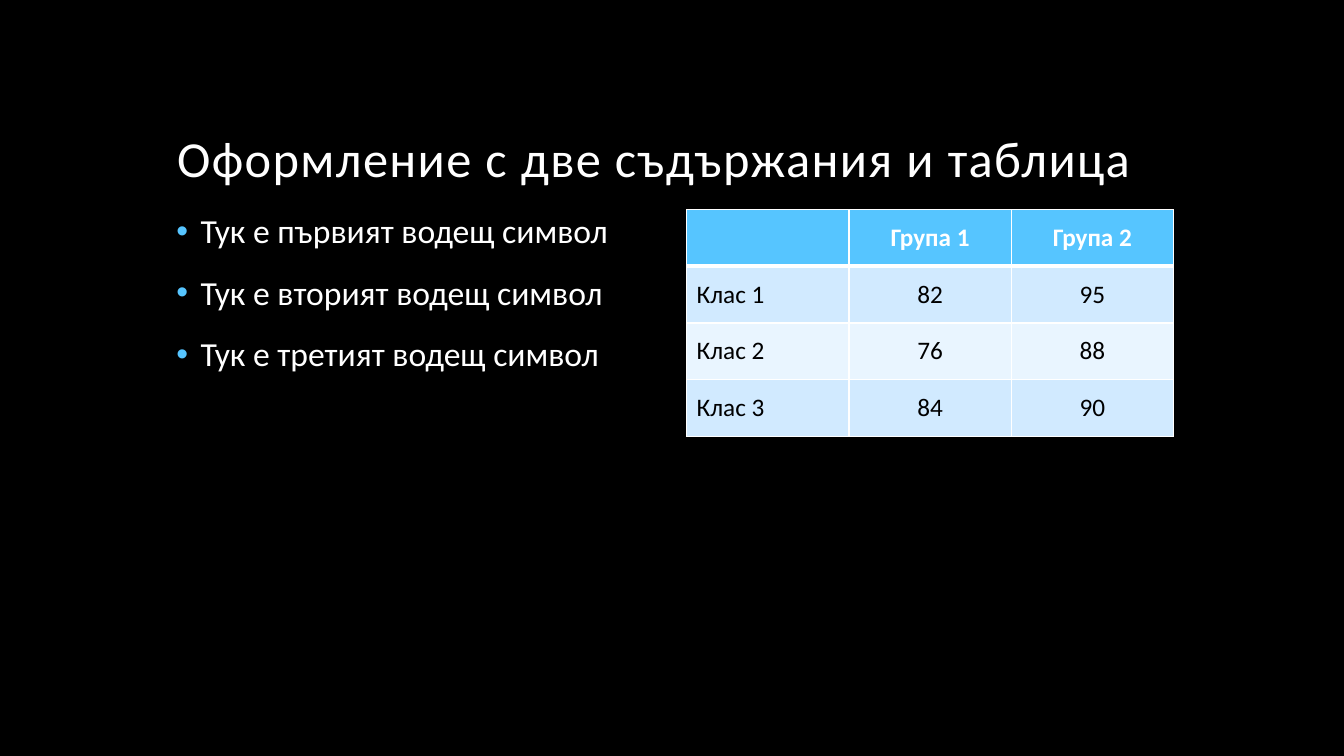
import pptx
import pptx.dml.color
import pptx.enum.text
import pptx.oxml
import pptx.oxml.ns
import pptx.util
from pptx.util import Inches

WHITE, BLACK, BLUE = "FFFFFF", "000000", "56C5FF"
PALE_BLUE, PALEST_BLUE = "D1EAFF", "E9F5FF"
NAMESPACE = pptx.oxml.ns.nsdecls("a")


def color(value):
    return pptx.dml.color.RGBColor.from_string(value)


def add_span(para, text, size, value, bold=False):
    span = para.add_run()
    span.text = text
    span.font.name = "Calibri"
    span.font.size = pptx.util.Pt(size)
    span.font.bold = bold
    span.font.color.rgb = color(value)
    return span


deck = pptx.Presentation()
deck.slide_width, deck.slide_height = Inches(13.33), Inches(7.5)
page = deck.slides.add_slide(deck.slide_layouts[6])
page.background.fill.solid()
page.background.fill.fore_color.rgb = color(BLACK)

# Title
title_box = page.shapes.add_textbox(Inches(1.66), Inches(0.42), Inches(10), Inches(1.5))
title_box.text_frame.word_wrap = True
title_box.text_frame.vertical_anchor = pptx.enum.text.MSO_ANCHOR.BOTTOM
para = title_box.text_frame.paragraphs[0]
para.line_spacing = 0.9
span = add_span(para, "Оформление с две съдържания и таблица", 36, WHITE)
span.font._element.set("spc", "100")

# Bulleted list
list_box = page.shapes.add_textbox(Inches(1.65), Inches(2.08), Inches(5.02), Inches(4.5))
list_box.text_frame.word_wrap = True
for index, ordinal in enumerate(["първият", "вторият", "третият"]):
    para = list_box.text_frame.add_paragraph() if index else list_box.text_frame.paragraphs[0]
    properties = para._p.get_or_add_pPr()
    properties.set("marL", str(Inches(0.24)))
    properties.set("indent", str(-Inches(0.24)))
    for bullet in (
        f'<a:buClr {NAMESPACE}><a:srgbClr val="{BLUE}"/></a:buClr>',
        f'<a:buFont {NAMESPACE} typeface="Arial"/>',
        f'<a:buChar {NAMESPACE} char="•"/>',
    ):
        properties.append(pptx.oxml.parse_xml(bullet))
    para.line_spacing = 0.9
    para.space_before = pptx.util.Pt(18 if index else 0)
    add_span(para, f"Тук е {ordinal} водещ символ", 24, WHITE)

# Table of results
results = [
    ["", "Група 1", "Група 2"],
    ["Клас 1", "82", "95"],
    ["Клас 2", "76", "88"],
    ["Клас 3", "84", "90"],
]
table = page.shapes.add_table(
    4, 3, Inches(6.81), Inches(2.08), Inches(4.83), Inches(2.25)
).table
row_fills = [BLUE, PALE_BLUE, PALEST_BLUE, PALE_BLUE]
for row, (values, row_fill) in enumerate(zip(results, row_fills)):
    header = row == 0
    for column, value in enumerate(values):
        cell = table.cell(row, column)
        cell.vertical_anchor = pptx.enum.text.MSO_ANCHOR.MIDDLE

        # White borders, thicker below the header
        for side in "LRTB":
            thick = (row, side) in [(0, "B"), (1, "T")]
            width = pptx.util.Pt(3 if thick else 1)
            cell._tc.get_or_add_tcPr().append(pptx.oxml.parse_xml(
                f'<a:ln{side} {NAMESPACE} w="{width}"><a:solidFill>'
                f'<a:srgbClr val="{WHITE}"/></a:solidFill></a:ln{side}>'
            ))
        cell.fill.solid()
        cell.fill.fore_color.rgb = color(row_fill)

        para = cell.text_frame.paragraphs[0]
        if column:
            para.alignment = pptx.enum.text.PP_ALIGN.CENTER
        if value:
            add_span(para, value, 18, WHITE if header else BLACK, bold=header)

deck.save("out.pptx")
